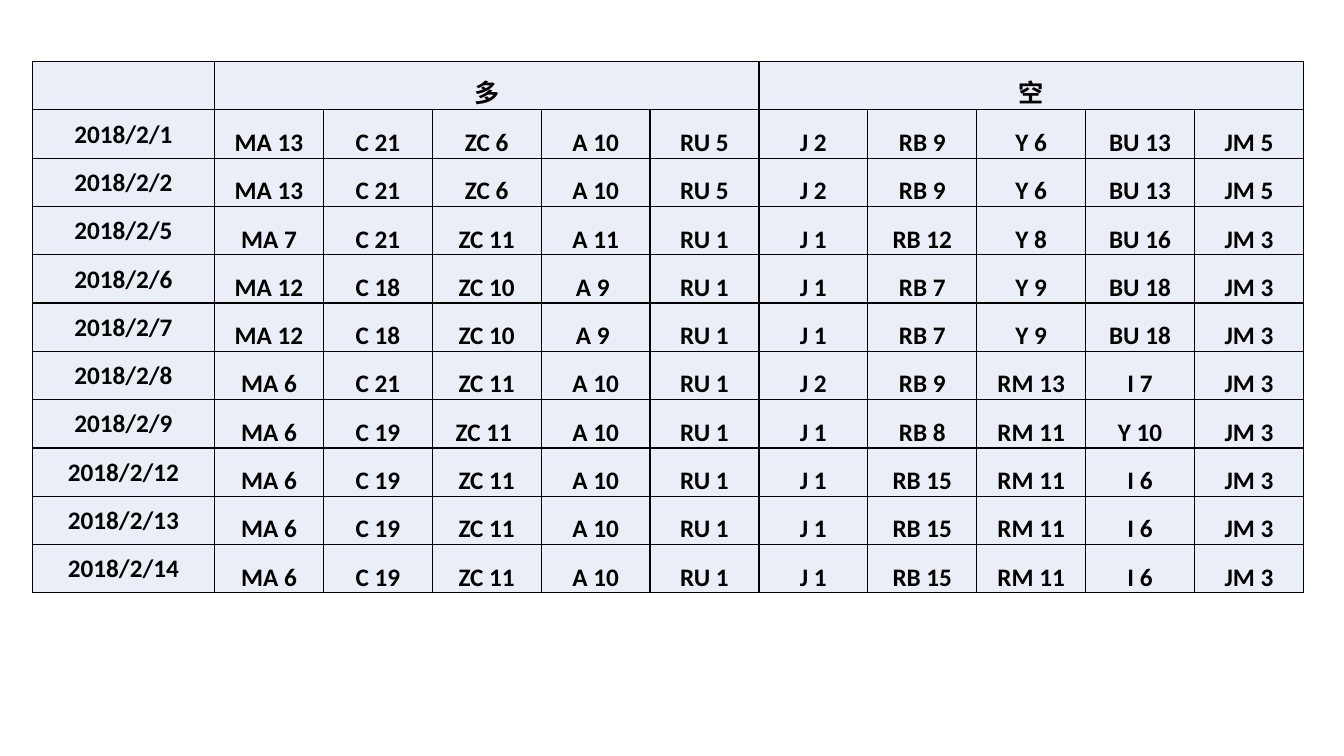
"""Builds a slide with a table of daily long and short futures positions."""
from dataclasses import dataclass
from typing import Any

from lxml import etree
from pptx import Presentation
from pptx import util as u
from pptx.dml.color import RGBColor
from pptx.enum import text
from pptx.oxml import ns

INK = RGBColor(0x00, 0x00, 0x00)
PALE_BLUE = RGBColor(0xEA, 0xEF, 0xF7)

SIDES = {"多": 1, "空": 6}
CONTRACTS_PER_SIDE = 5
POSITIONS = {
    "2018/2/1": "MA 13,C 21,ZC 6,A 10,RU 5,J 2,RB 9,Y 6,BU 13,JM 5",
    "2018/2/2": "MA 13,C 21,ZC 6,A 10,RU 5,J 2,RB 9,Y 6,BU 13,JM 5",
    "2018/2/5": "MA 7,C 21,ZC 11,A 11,RU 1,J 1,RB 12,Y 8,BU 16,JM 3",
    "2018/2/6": "MA 12,C 18,ZC 10,A 9 ,RU 1,J 1,RB 7,Y 9,BU 18,JM 3",
    "2018/2/7": "MA 12,C 18,ZC 10,A 9 ,RU 1,J 1,RB 7,Y 9,BU 18,JM 3",
    "2018/2/8": "MA 6,C 21,ZC 11,A 10,RU 1,J 2,RB 9,RM 13,I 7,JM 3",
    "2018/2/9": "MA 6,C 19,ZC 11 ,A 10,RU 1,J 1,RB 8,RM 11,Y 10,JM 3",
    "2018/2/12": "MA 6,C 19,ZC 11,A 10,RU 1,J 1,RB 15,RM 11,I 6,JM 3",
    "2018/2/13": "MA 6,C 19,ZC 11,A 10,RU 1,J 1,RB 15,RM 11,I 6,JM 3",
    "2018/2/14": "MA 6,C 19,ZC 11,A 10,RU 1,J 1,RB 15,RM 11,I 6,JM 3",
}


@dataclass
class SlideBuilder:
    slide: Any
    font_name: str = "Calibri"
    font_size: float = 18
    inset: float = 0.75
    border: float = 1

    def table(self, left, top, widths, row_height, row_count):
        grid = self.slide.shapes.add_table(
            row_count, len(widths), u.Pt(left), u.Pt(top),
            u.Pt(sum(widths)), u.Pt(row_height * row_count)).table
        for column, width in zip(grid.columns, widths):
            column.width = u.Pt(width)
        for row in grid.rows:
            row.height = u.Pt(row_height)
            for cell in row.cells:
                self.style_cell(cell)
        return grid

    def style_cell(self, cell):
        cell.margin_left = cell.margin_right = cell.margin_top = u.Pt(self.inset)
        cell.margin_bottom = u.Pt(0)
        cell.fill.solid()
        cell.fill.fore_color.rgb = PALE_BLUE
        properties = cell._tc.get_or_add_tcPr()
        for position, edge in enumerate(("lnL", "lnR", "lnT", "lnB")):
            line = etree.Element(ns.qn(f"a:{edge}"), w=str(u.Pt(self.border)))
            paint = etree.SubElement(line, ns.qn("a:solidFill"))
            etree.SubElement(paint, ns.qn("a:srgbClr"), val=str(INK))
            properties.insert(position, line)

    def label(self, cell, words, anchor=text.MSO_ANCHOR.BOTTOM):
        cell.text = words
        cell.vertical_anchor = anchor
        paragraph = cell.text_frame.paragraphs[0]
        paragraph.alignment = text.PP_ALIGN.CENTER
        font = paragraph.font
        font.name, font.size, font.bold = self.font_name, u.Pt(self.font_size), True
        font.color.rgb = INK


deck = Presentation()
deck.slide_width, deck.slide_height = u.Pt(960), u.Pt(540)
builder = SlideBuilder(deck.slides.add_slide(deck.slide_layouts[6]))

contract_widths = [77.8] * (CONTRACTS_PER_SIDE * len(SIDES))
positions = builder.table(23.2, 44, [130] + contract_widths, 34.5, len(POSITIONS) + 1)

for side, first in SIDES.items():
    heading = positions.cell(0, first)
    heading.merge(positions.cell(0, first + CONTRACTS_PER_SIDE - 1))
    builder.label(heading, side)

for day, (date, contracts) in enumerate(POSITIONS.items(), start=1):
    builder.label(positions.cell(day, 0), date, text.MSO_ANCHOR.MIDDLE)
    for place, contract in enumerate(contracts.split(","), start=1):
        builder.label(positions.cell(day, place), contract)

deck.save("out.pptx")
